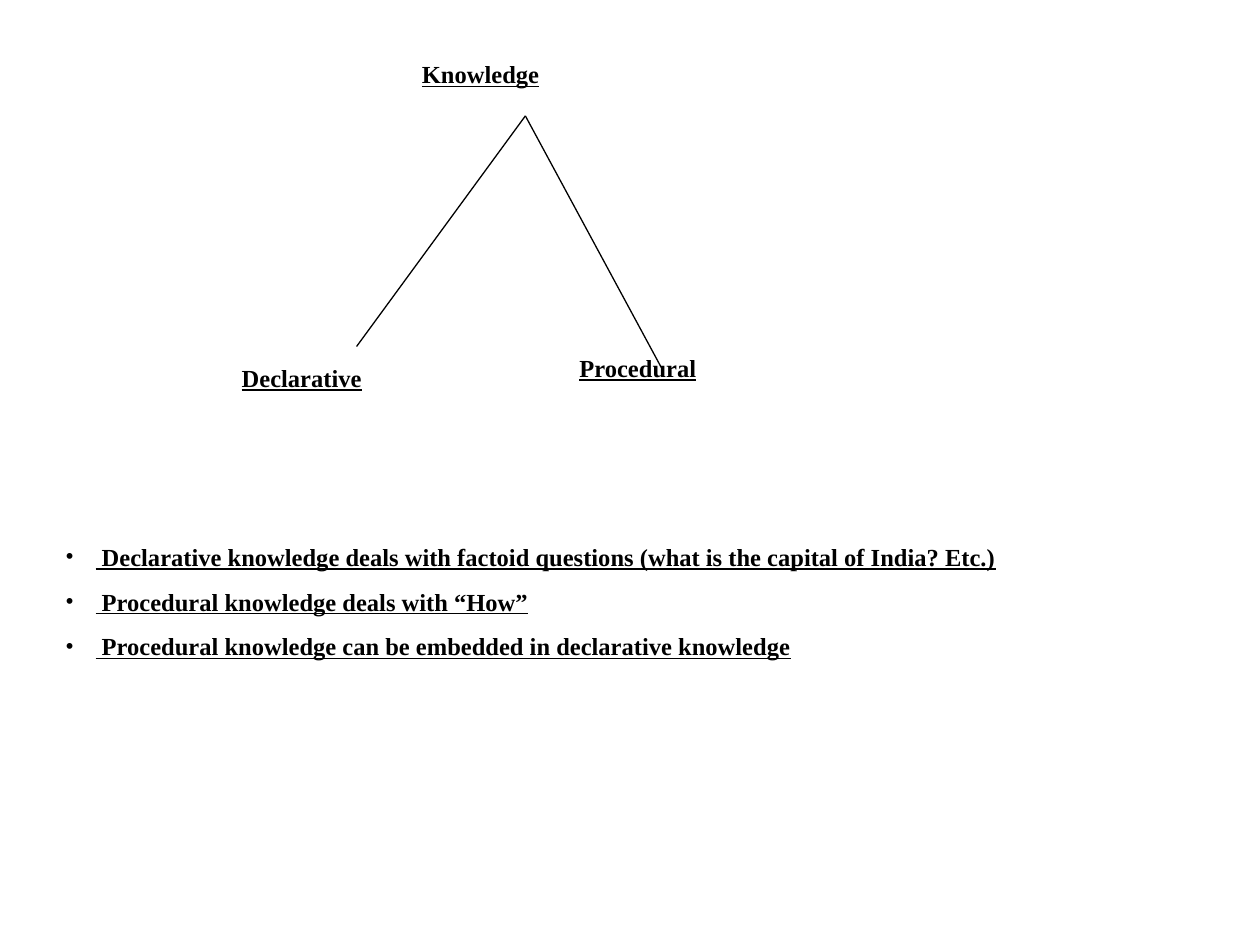
from dataclasses import dataclass

from lxml import etree
from pptx import Presentation
from pptx.dml.color import RGBColor
from pptx.enum.shapes import MSO_CONNECTOR
from pptx.enum.text import MSO_AUTO_SIZE
from pptx.oxml.ns import qn
from pptx.util import Inches, Pt


@dataclass(frozen=True)
class Theme:
    font: str = "Times New Roman"
    ink: RGBColor = RGBColor(0, 0, 0)
    text_size: float = 14
    line_width: float = 0.75
    paragraph_gap: float = 8.8
    bullet_indent: float = 0.24


THEME = Theme()


def add_bullet(paragraph):
    properties = paragraph._p.get_or_add_pPr()
    indent = Inches(THEME.bullet_indent)
    properties.set("marL", str(indent))
    properties.set("indent", str(-indent))
    colour = etree.SubElement(properties, qn("a:buClr"))
    etree.SubElement(colour, qn("a:srgbClr"), val=str(THEME.ink))
    etree.SubElement(properties, qn("a:buFont"), typeface=THEME.font)
    etree.SubElement(properties, qn("a:buChar"), char="•")


def add_text(slide, lines, box, size=THEME.text_size, bold=True,
             underline=True, bulleted=False):
    frame = slide.shapes.add_textbox(*map(Inches, box)).text_frame
    frame.word_wrap = True
    frame.auto_size = MSO_AUTO_SIZE.SHAPE_TO_FIT_TEXT
    for index, line in enumerate(lines):
        paragraph = frame.add_paragraph() if index else frame.paragraphs[0]
        if bulleted:
            add_bullet(paragraph)
        if index:
            paragraph.space_before = Pt(THEME.paragraph_gap)
        run = paragraph.add_run()
        run.text = line
        run.font.name = THEME.font
        run.font.size = Pt(size)
        run.font.bold = bold
        run.font.underline = underline
        run.font.color.rgb = THEME.ink


def add_branch(slide, start, end):
    branch = slide.shapes.add_connector(
        MSO_CONNECTOR.STRAIGHT, *map(Inches, (*start, *end)))
    branch.line.color.rgb = THEME.ink
    branch.line.width = Pt(THEME.line_width)
    etree.SubElement(branch._element.spPr, qn("a:effectLst"))


def add_knowledge_tree(slide, box):
    left, top, width, height = box
    label_height = 0.34
    apex = (left + 2.35, top + 0.5)
    add_text(slide, ["Knowledge"], (left + 1.43, top, 2.5, label_height))
    kinds = (
        ("Declarative", 0, 2.33, height - label_height, (1.01, 2.33)),
        ("Procedural", 2.68, width - 2.68, 2.33, (3.43, 2.5)),
    )
    for kind, label_left, label_width, label_top, (tip_x, tip_y) in kinds:
        add_branch(slide, apex, (left + tip_x, top + tip_y))
        add_text(slide, [kind], (left + label_left, top + label_top,
                                 label_width, label_height))


def add_explanations(slide, box):
    add_text(slide, [
        " Declarative knowledge deals with factoid questions (what is the capital of India? Etc.)",
        " Procedural knowledge deals with “How”",
        " Procedural knowledge can be embedded in declarative knowledge",
    ], box, bulleted=True)


def main():
    deck = Presentation()
    deck.slide_width, deck.slide_height = Inches(10), Inches(7.5)
    slide = deck.slides.add_slide(deck.slide_layouts.get_by_name("Blank"))
    add_knowledge_tree(slide, (1.82, 0.42, 5.6, 2.75))
    add_explanations(slide, (0.42, 4.25, 8.75, 1.05))
    deck.save("out.pptx")


if __name__ == "__main__":
    main()
